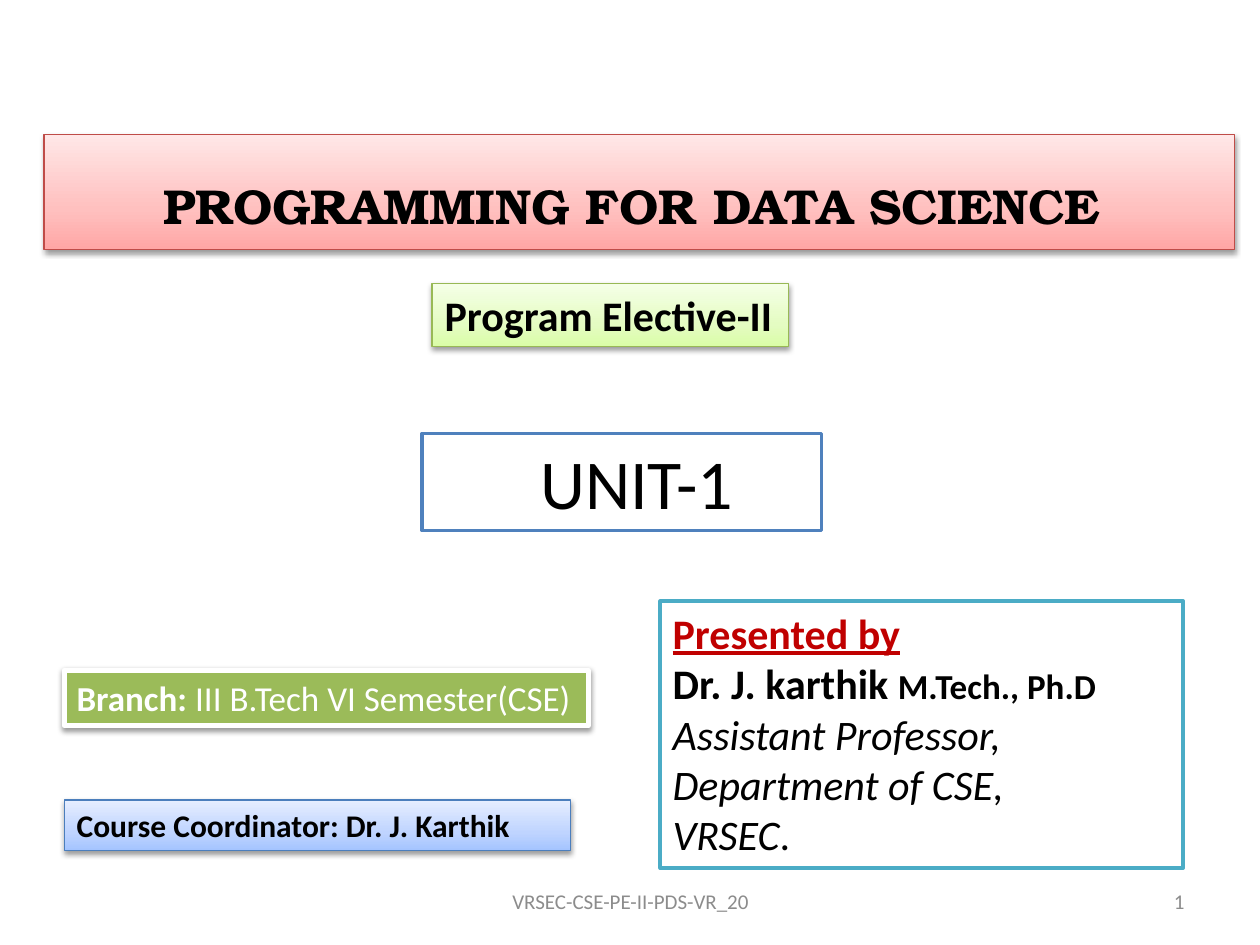
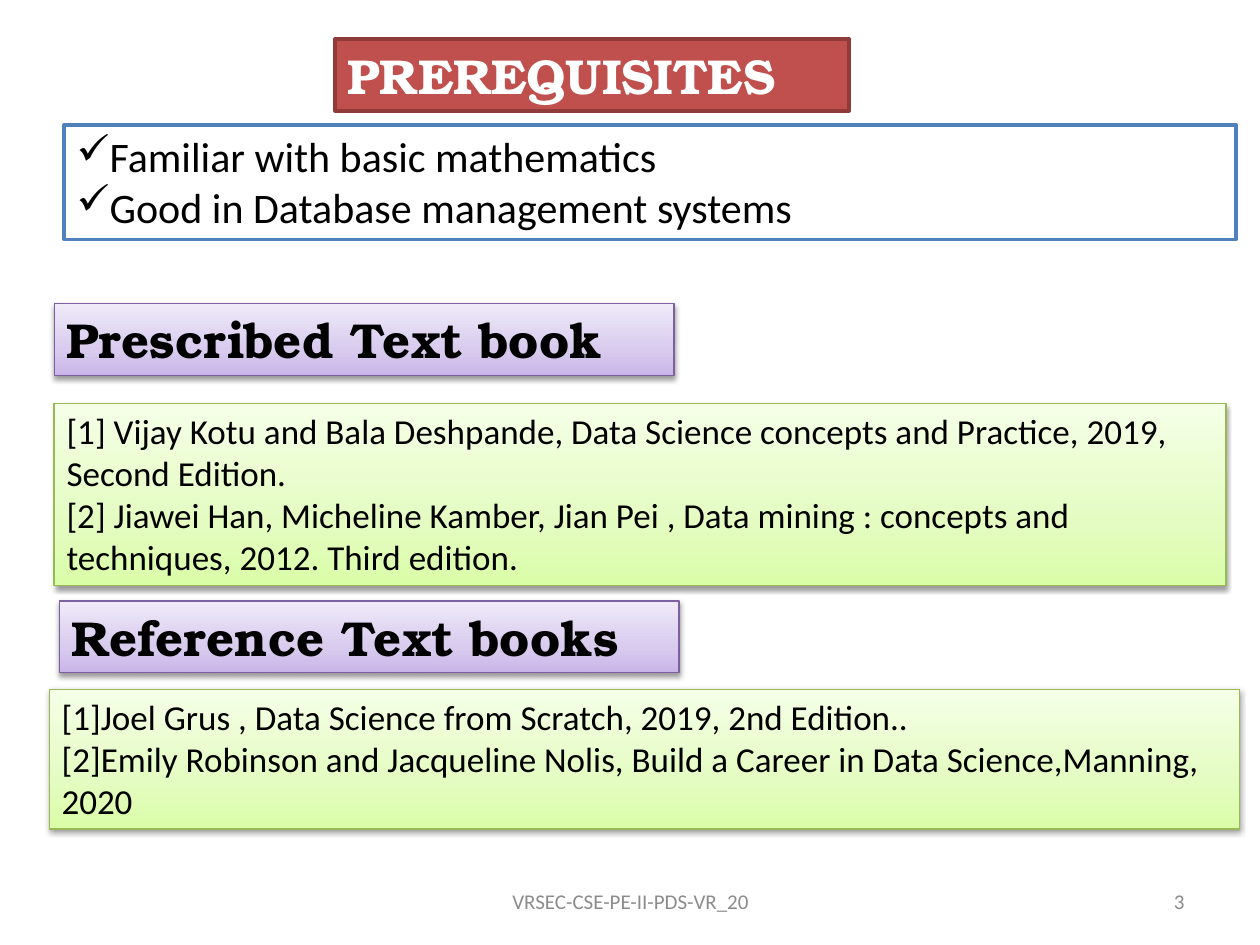
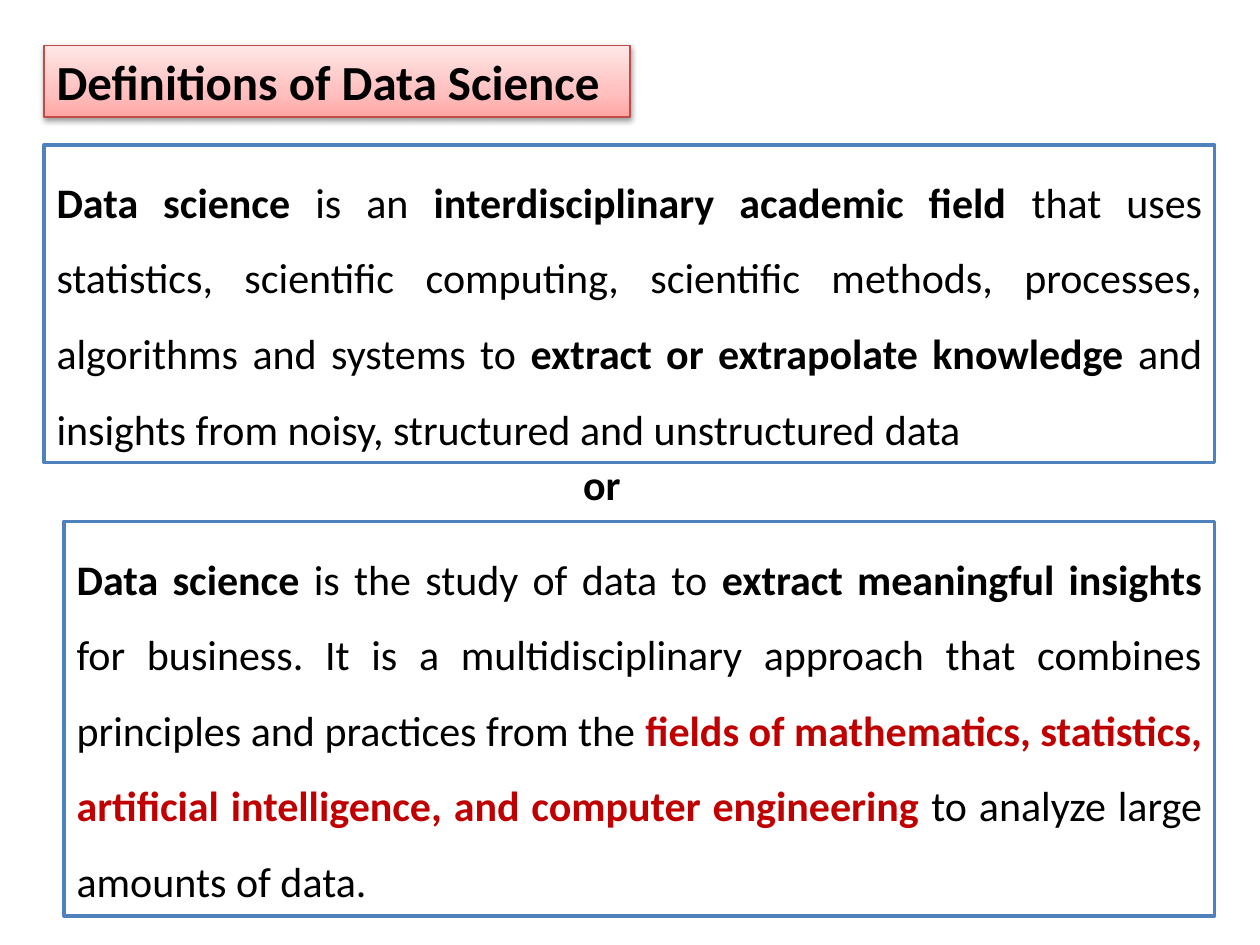
"""Builds three slides that introduce a course on programming for data science."""
from lxml import etree
from pptx import Presentation
from pptx import util as u
from pptx.dml.color import RGBColor
from pptx.enum import shapes, text
from pptx.oxml.ns import qn

COLOURS = {
    "black": "000000", "white": "FFFFFF", "grey": "8C8C8C", "crimson": "C00000",
    "blue": "4F81BD", "aqua": "4BACC6", "green": "9BBB59", "red": "C0504D", "dark red": "8E3B39",
    "pink edge": "BF4C48", "lime edge": "98B955", "sky edge": "4B7EBC", "violet edge": "7D60A0",
}
GRADIENTS = {
    "pink": ("FFA6A5", "FFC0BF", "FFE7E7"),
    "lime": ("DAFDA7", "E4FCC2", "F5FFE7"),
    "sky": ("A4C4FF", "BFD4FF", "E6EEFF"),
    "violet": ("C9B5E8", "D8CBEE", "F0EAF9"),
}
STYLES = {name: (name, f"{name} edge", 0.75, True) for name in GRADIENTS}
STYLES.update({
    "blue outline": ("white", "blue", 2, False),
    "aqua outline": ("white", "aqua", 2, False),
    "red block": ("red", "dark red", 2, False),
    "green block": ("green", "white", 3, True),
    "plain": (None, None, 0, False),
})
SERIF = "TeX Gyre Bonum"
HEADING = {"size": 28, "name": SERIF, "bold": True}
BOLD = {"bold": True}
ITALIC = {"italic": True}
ALIGN = text.PP_ALIGN


def add_child(parent, tag, **attributes):
    return etree.SubElement(parent, qn(tag), {key: str(value) for key, value in attributes.items()})


def add_panel(slide, place, style, paragraphs, base, align=ALIGN.LEFT, spacing=None,
              bullet=None, indent=0, top=0.05, anchor=text.MSO_ANCHOR.TOP):
    fill, edge, width, shadow = STYLES[style]
    box = [u.Inches(length) for length in place]
    if style == "plain":
        shape = slide.shapes.add_textbox(*box)
    else:
        shape = slide.shapes.add_shape(shapes.MSO_SHAPE.RECTANGLE, *box)
        shape.shadow.inherit = False
        shape.line.color.rgb = RGBColor.from_string(COLOURS[edge])
        shape.line.width = u.Pt(width)
        properties = shape._element.spPr
        if fill in GRADIENTS:
            gradient = etree.Element(qn("a:gradFill"), rotWithShape="1")
            stops = add_child(gradient, "a:gsLst")
            for position, colour in zip((0, 35, 100), GRADIENTS[fill]):
                add_child(add_child(stops, "a:gs", pos=position * 1000), "a:srgbClr", val=colour)
            add_child(gradient, "a:lin", ang=270 * 60000, scaled=0)
            properties.find(qn("a:prstGeom")).addnext(gradient)
        else:
            shape.fill.solid()
            shape.fill.fore_color.rgb = RGBColor.from_string(COLOURS[fill])
        if shadow:
            outer = add_child(properties.find(qn("a:effectLst")), "a:outerShdw", blurRad=u.Pt(3.1),
                              dist=u.Pt(1.6), dir=90 * 60000, rotWithShape=0)
            add_child(add_child(outer, "a:srgbClr", val=COLOURS["black"]), "a:alpha", val=38000)
    frame = shape.text_frame
    for name, value in {"word_wrap": True, "vertical_anchor": anchor,
                        "margin_top": u.Inches(top)}.items():
        setattr(frame, name, value)
    for index, runs in enumerate(paragraphs):
        paragraph = frame.add_paragraph() if index else frame.paragraphs[0]
        paragraph.alignment = align
        if spacing:
            paragraph.line_spacing = spacing
        layout = paragraph._p.get_or_add_pPr()
        if indent:
            layout.set("marL", str(u.Inches(indent)))
        if bullet:
            layout.set("indent", str(-u.Inches(indent)))
            add_child(layout, "a:buChar", char=bullet)
        for words, changes in runs:
            run = paragraph.add_run()
            run.text = words
            values = {"name": "Calibri", "size": 24, "bold": False, "color": "black", **base, **changes}
            run.font.color.rgb = RGBColor.from_string(COLOURS[values.pop("color")])
            run.font.size = u.Pt(values.pop("size"))
            for name, value in values.items():
                setattr(run.font, name, value)


presentation = Presentation()
presentation.slide_width = u.Inches(10)
presentation.slide_height = u.Inches(7.5)

cover_panels = [
    dict(place=(0.35, 1.07, 9.45, 0.91), style="pink", base=HEADING, indent=0.85, top=0.32,
         paragraphs=[[("PROGRAMMING FOR DATA SCIENCE", {})]]),
    dict(place=(3.35, 3.44, 3.17, 0.77), style="blue outline", base={"size": 40}, indent=0.84,
         paragraphs=[[("UNIT-1", {})]]),
    dict(place=(3.43, 2.25, 2.83, 0.5), style="lime", base=BOLD,
         paragraphs=[[("Program Elective-II", {})]]),
    dict(place=(5.24, 4.77, 4.15, 2.12), style="aqua outline", base={}, paragraphs=[
        [("Presented by", {"color": "crimson", "bold": True, "underline": True})],
        [("Dr. J. karthik ", BOLD), ("M.Tech., Ph.D", {"size": 20, "bold": True})],
        [("Assistant Professor,", ITALIC)],
        [("Department of CSE,", ITALIC)],
        [("VRSEC", ITALIC), (".", {})],
    ]),
    dict(place=(0.51, 5.32, 4.16, 0.44), style="green block", base={"size": 20, "color": "white"},
         paragraphs=[[("Branch:", BOLD), (" III B.Tech VI Semester(CSE)", {})]]),
    dict(place=(0.51, 6.35, 4.02, 0.4), style="sky", base={"size": 18, "bold": True},
         paragraphs=[[("Course Coordinator: Dr. J. Karthik", {})]]),
]

book_panels = [
    dict(place=(2.66, 0.31, 4.08, 0.57), style="red block", base={**HEADING, "color": "white"},
         paragraphs=[[("PREREQUISITES", {})]]),
    dict(place=(0.51, 0.99, 9.3, 0.91), style="blue outline", base={}, bullet="✓", indent=0.26,
         paragraphs=[[("Familiar with basic mathematics", {})],
                     [("Good in Database management systems", {})]]),
    dict(place=(0.43, 2.41, 4.92, 0.57), style="violet", base=HEADING,
         paragraphs=[[("Prescribed Text book", {})]]),
    dict(place=(0.43, 3.2, 9.3, 1.45), style="lime", base={"size": 20}, paragraphs=[
        [("[1] Vijay Kotu and Bala Deshpande, Data Science concepts and Practice, 2019, "
          "Second Edition.", {})],
        [("[2] Jiawei Han, Micheline Kamber, Jian Pei , Data mining : concepts and "
          "techniques, 2012. Third edition.", {})],
    ]),
    dict(place=(0.47, 4.77, 4.92, 0.57), style="violet", base=HEADING,
         paragraphs=[[("Reference Text books", {})]]),
    dict(place=(0.39, 5.47, 9.45, 1.11), style="lime", base={"size": 20}, paragraphs=[
        [("[1]Joel Grus , Data Science from Scratch, 2019, 2nd Edition..", {})],
        [("[2]Emily Robinson and Jacqueline Nolis, Build a Career in Data Science,Manning, 2020", {})],
    ]),
]

definition = dict(style="blue outline", base={}, align=ALIGN.JUSTIFY, spacing=1.5)
definition_panels = [
    dict(definition, place=(0.35, 1.15, 9.29, 2.52), paragraphs=[[
        ("Data science", BOLD), (" is an ", {}), ("interdisciplinary academic field", BOLD),
        (" that uses statistics, scientific computing, scientific methods, processes, "
         "algorithms and systems to ", {}),
        ("extract or extrapolate knowledge ", BOLD),
        ("and insights from noisy, structured and unstructured data", {}),
    ]]),
    dict(definition, place=(0.51, 4.14, 9.13, 3.13), paragraphs=[[
        ("Data science ", BOLD), ("is the study of data to ", {}),
        ("extract meaningful insights ", BOLD),
        ("for business. It is a multidisciplinary approach that combines principles "
         "and practices from the ", {}),
        ("fields of mathematics, statistics, artificial intelligence, and computer engineering",
         {"color": "crimson", "bold": True}),
        (" to analyze large amounts of data.", {}),
    ]]),
    dict(place=(0.35, 0.36, 4.65, 0.57), style="pink", base={"size": 28, "bold": True},
         paragraphs=[[("Definitions of Data Science", {})]]),
    dict(place=(4.53, 3.59, 0.71, 0.5), style="plain", base=BOLD, paragraphs=[[("or", {})]]),
]

for panels, number in ((cover_panels, "1"), (book_panels, "3"), (definition_panels, None)):
    slide = presentation.slides.add_slide(presentation.slide_layouts[6])
    for panel in panels:
        add_panel(slide, **panel)
    if number:
        for left, width, words, align in ((3.42, 3.17, "VRSEC-CSE-PE-II-PDS-VR_20", ALIGN.CENTER),
                                          (7.17, 2.33, number, ALIGN.RIGHT)):
            add_panel(slide, (left, 6.95, width, 0.4), "plain", [[(words, {})]],
                      {"size": 12, "color": "grey"}, align=align, anchor=text.MSO_ANCHOR.MIDDLE)

presentation.save("out.pptx")
